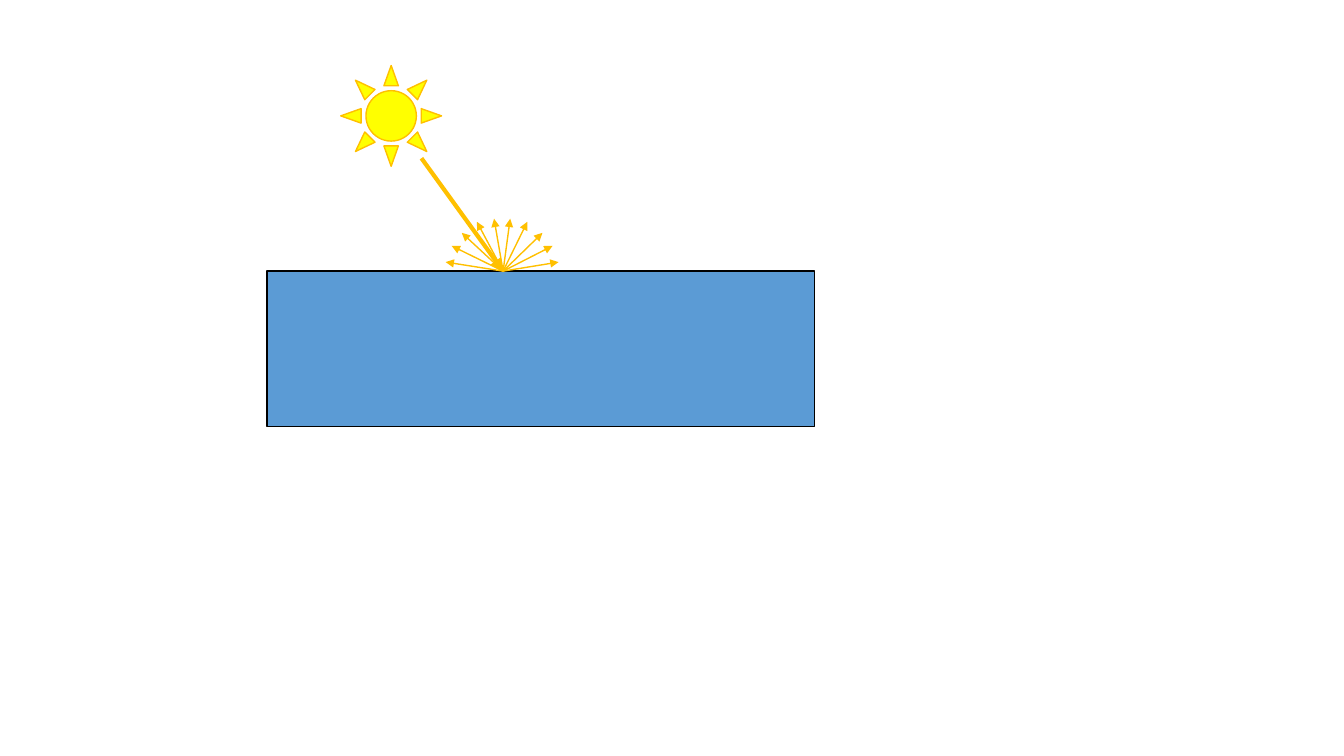
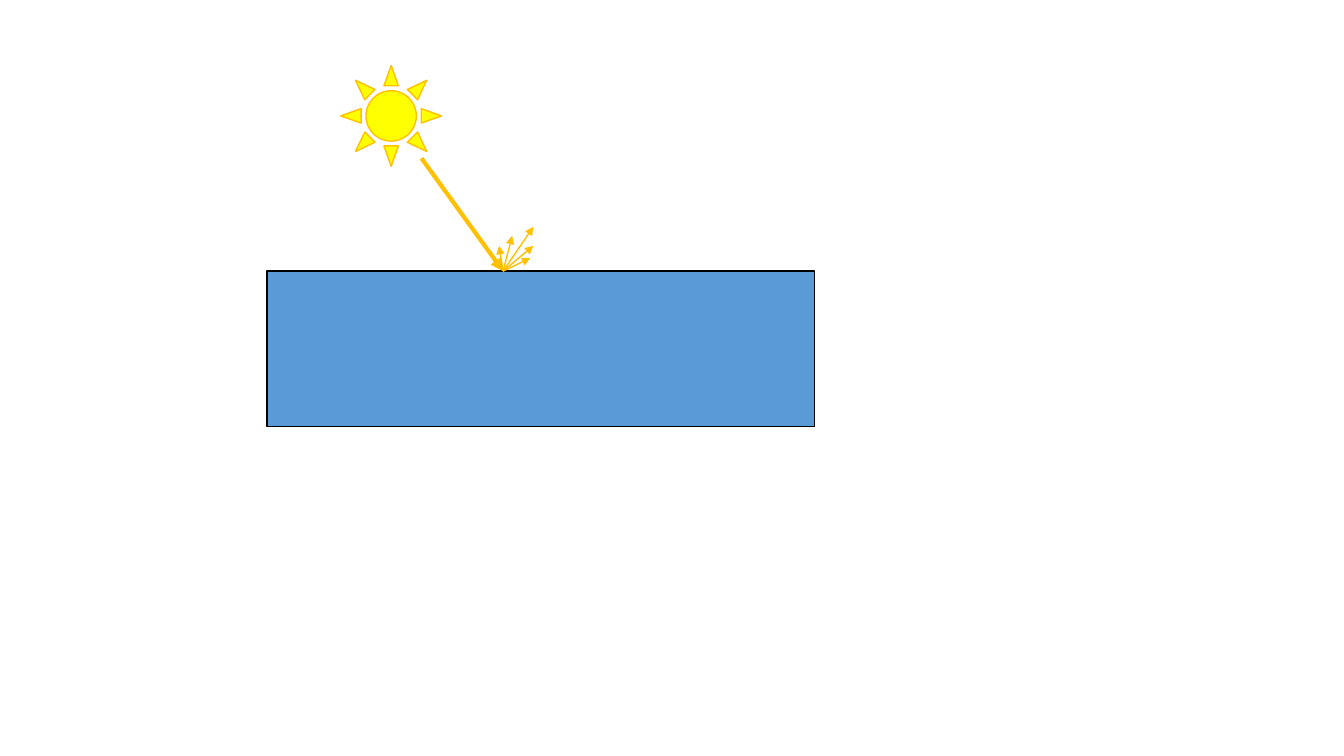
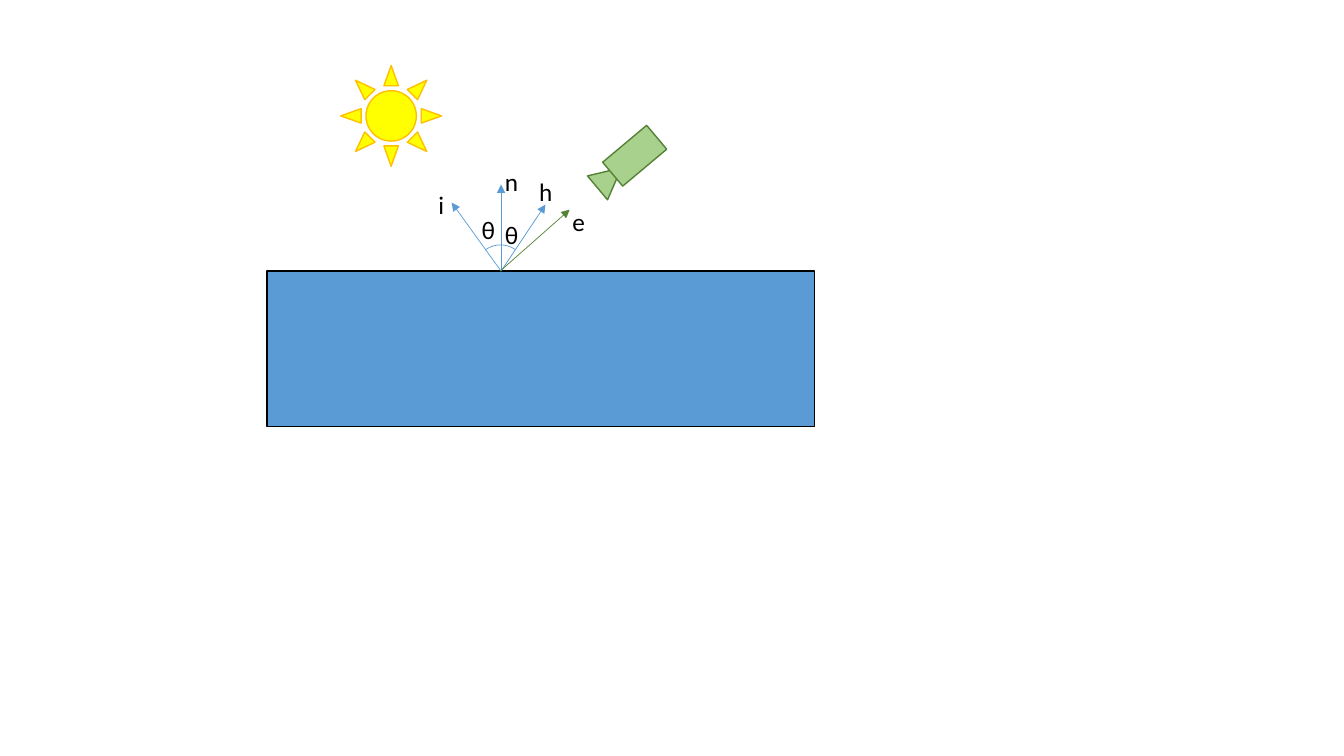
"""Draw three slides on light reflected by a surface: diffuse, glossy and the vectors involved."""
from dataclasses import dataclass

import lxml.etree
import pptx
import pptx.dml.color
import pptx.enum.shapes
import pptx.enum.text
import pptx.oxml.ns
import pptx.shapes.base
import pptx.slide
import pptx.util

EMU_PER_PX = 9144
SLIDE_SIZE = (1333, 750)
BLANK_LAYOUT = 6
FONT = "Calibri"
FONT_SIZE = 18
LABEL_HEIGHT = 40

BLACK = "000000"
BLUE = "5B9BD5"
YELLOW = "FFFF00"
ORANGE = "FFC000"
LIGHT_GREEN = "A9D18E"
DARK_GREEN = "548235"

Point = tuple[int, int]
PRESET = pptx.enum.shapes.MSO_SHAPE


@dataclass(frozen=True)
class Figure:
    """A preset shape with its box, colours and rotation."""
    preset: PRESET
    left: int
    top: int
    width: int
    height: int
    fill: str | None
    line: str
    weight: float = 1
    rotation: int = 0


@dataclass(frozen=True)
class Arrow:
    """A straight line with a triangle at its end."""
    start: Point
    end: Point
    color: str = ORANGE
    weight: float = 1


@dataclass(frozen=True)
class Label:
    """A short unwrapped text at a given place."""
    text: str
    left: int
    top: int
    width: int = 34


SURFACE = Figure(PRESET.RECTANGLE, 265, 269, 543, 154, BLUE, BLACK)
SUN = Figure(PRESET.SUN, 338, 65, 100, 100, YELLOW, ORANGE)
HIT: Point = (499, 269)
SUNBEAM = Arrow((418, 157), HIT, weight=3)

FAN_AXIS = 498
FAN_OFFSETS = [(56, 260), (50, 244), (40, 231), (25, 220), (8, 217)]
DIFFUSE_ENDS = [(FAN_AXIS + side * offset, y) for side in (-1, 1) for offset, y in FAN_OFFSETS]
GLOSSY_ENDS = [(495, 244), (526, 256), (529, 244), (529, 225), (508, 234)]

ORIGIN: Point = (497, 269)
VECTORS = [
    Arrow(ORIGIN, (497, 183), BLUE, 0.5),
    Arrow(ORIGIN, (448, 201), BLUE, 0.5),
    Arrow(ORIGIN, (541, 203), BLUE, 0.5),
    Arrow((496, 269), (565, 208), DARK_GREEN, 0.5),
]
ANGLE_ARC = Figure(PRESET.ARC, 471, 243, 51, 51, None, BLUE, 0.5)
ARC_DEGREES = (233.65, 305.35)
ARC_UNITS_PER_DEGREE = 0.6
CAMERA = [
    Figure(PRESET.ISOSCELES_TRIANGLE, 589, 161, 31, 31, LIGHT_GREEN, DARK_GREEN, rotation=50),
    Figure(PRESET.RECTANGLE, 601, 139, 57, 31, LIGHT_GREEN, DARK_GREEN, rotation=320),
]
LABELS = [
    Label("θ", 468, 208),
    Label("n", 491, 160),
    Label("i", 425, 183, 26),
    Label("θ", 491, 213),
    Label("h", 525, 170),
    Label("e", 558, 200, 33),
]


def px(length: int) -> pptx.util.Emu:
    """Turn pixels into EMU."""
    return pptx.util.Emu(length * EMU_PER_PX)


def rgb(color: str) -> pptx.dml.color.RGBColor:
    """Turn a hex string into a colour."""
    return pptx.dml.color.RGBColor.from_string(color)


def draw_figure(shapes, figure: Figure) -> pptx.shapes.base.BaseShape:
    """Add a preset shape to a slide or group."""
    box = map(px, (figure.left, figure.top, figure.width, figure.height))
    shape = shapes.add_shape(figure.preset, *box)
    shape.shadow.inherit = False
    shape.rotation = figure.rotation
    if figure.fill is None:
        shape.fill.background()
    else:
        shape.fill.solid()
        shape.fill.fore_color.rgb = rgb(figure.fill)
    shape.line.color.rgb = rgb(figure.line)
    shape.line.width = pptx.util.Pt(figure.weight)
    return shape


def draw_arrow(slide: pptx.slide.Slide, arrow: Arrow) -> None:
    """Add a connector with an arrowhead at its end."""
    connector = slide.shapes.add_connector(
        pptx.enum.shapes.MSO_CONNECTOR.STRAIGHT, *map(px, arrow.start + arrow.end)
    )
    connector.line.color.rgb = rgb(arrow.color)
    connector.line.width = pptx.util.Pt(arrow.weight)
    properties = connector.element.spPr
    outline = properties.find(pptx.oxml.ns.qn("a:ln"))
    lxml.etree.SubElement(outline, pptx.oxml.ns.qn("a:tailEnd"), type="triangle")
    lxml.etree.SubElement(properties, pptx.oxml.ns.qn("a:effectLst"))


def draw_label(slide: pptx.slide.Slide, label: Label) -> None:
    """Add a text box that fits its text."""
    box = map(px, (label.left, label.top, label.width, LABEL_HEIGHT))
    text_frame = slide.shapes.add_textbox(*box).text_frame
    text_frame.word_wrap = False
    text_frame.auto_size = pptx.enum.text.MSO_AUTO_SIZE.SHAPE_TO_FIT_TEXT
    text_frame.text = label.text
    font = text_frame.paragraphs[0].runs[0].font
    font.name = FONT
    font.size = pptx.util.Pt(FONT_SIZE)
    font.color.rgb = rgb(BLACK)


def add_scene(presentation: pptx.presentation.Presentation) -> pptx.slide.Slide:
    """Add a slide with the surface and the sun."""
    slide = presentation.slides.add_slide(presentation.slide_layouts[BLANK_LAYOUT])
    for figure in (SURFACE, SUN):
        draw_figure(slide.shapes, figure)
    return slide


def add_reflection_slide(
    presentation: pptx.presentation.Presentation, ends: list[Point]
) -> None:
    """Add a slide whose sunbeam scatters towards the given ends."""
    slide = add_scene(presentation)
    for arrow in [SUNBEAM, *(Arrow(HIT, end) for end in ends)]:
        draw_arrow(slide, arrow)


def add_vector_slide(presentation: pptx.presentation.Presentation) -> None:
    """Add the slide with named vectors, equal angles and the camera."""
    slide = add_scene(presentation)
    for vector in VECTORS:
        draw_arrow(slide, vector)
    arc = draw_figure(slide.shapes, ANGLE_ARC)
    for index, degrees in enumerate(ARC_DEGREES):
        arc.adjustments[index] = degrees * ARC_UNITS_PER_DEGREE
    camera = slide.shapes.add_group_shape()
    for part in CAMERA:
        draw_figure(camera.shapes, part)
    for label in LABELS:
        draw_label(slide, label)


def main() -> None:
    """Build and save the presentation."""
    presentation = pptx.Presentation()
    presentation.slide_width, presentation.slide_height = map(px, SLIDE_SIZE)
    for ends in (DIFFUSE_ENDS, GLOSSY_ENDS):
        add_reflection_slide(presentation, ends)
    add_vector_slide(presentation)
    presentation.save("out.pptx")


if __name__ == "__main__":
    main()
